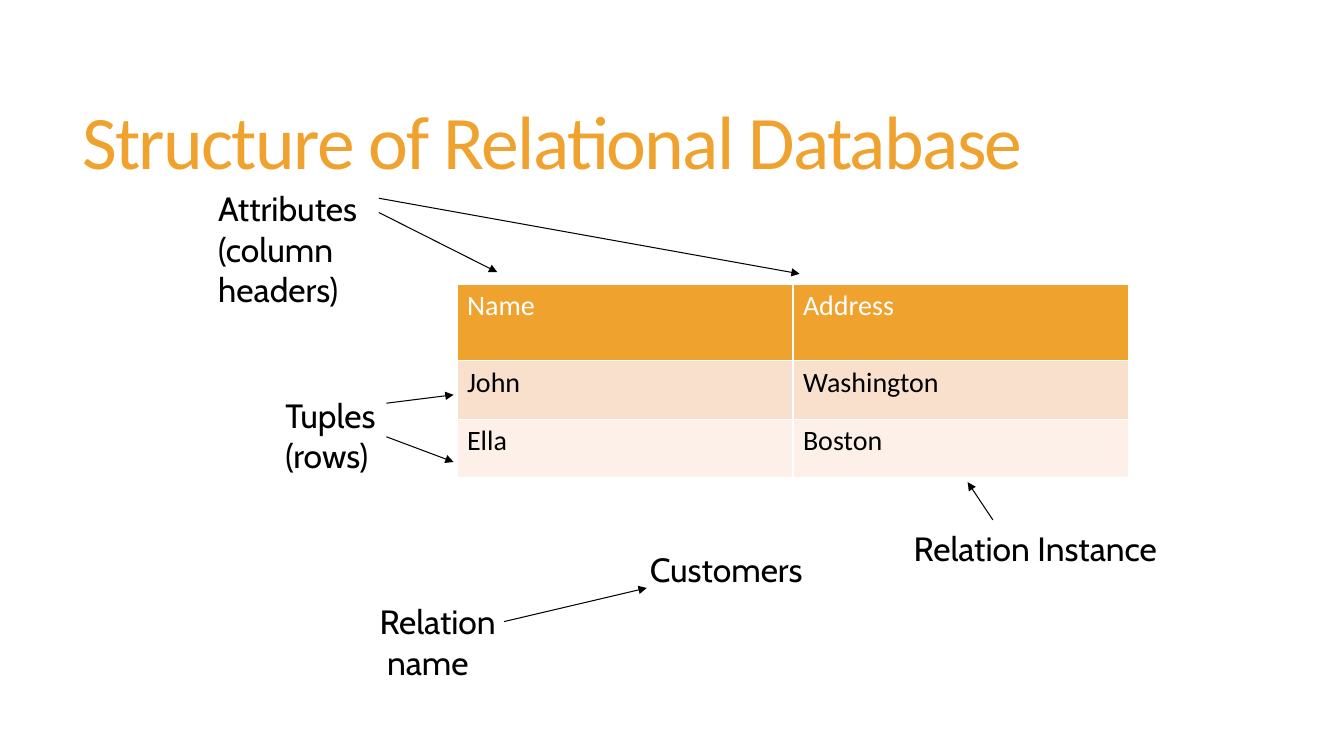
from lxml import etree
from pptx import Presentation
from pptx.dml.color import RGBColor
from pptx.enum.shapes import MSO_CONNECTOR
from pptx.enum.text import MSO_ANCHOR
from pptx.oxml.ns import qn
from pptx.util import Inches, Pt

STRAIGHT = MSO_CONNECTOR.STRAIGHT
MIDDLE = MSO_ANCHOR.MIDDLE

ORANGE = RGBColor(0xF0, 0xA2, 0x2E)
PEACH = RGBColor(0xF9, 0xE0, 0xCD)
CREAM = RGBColor(0xFC, 0xF0, 0xE8)
WHITE = RGBColor(0xFF, 0xFF, 0xFF)
BLACK = RGBColor(0, 0, 0)

COLUMNS, ROWS = 160, 90
CELL = Inches(7.5) / ROWS

# text, (left, top, width, height) in grid cells
LABELS = [
    ("Attributes\n(column\nheaders)", (24.8, 21.8, 19.6, 15.7)),
    ("Tuples\n(rows)", (32.8, 46.4, 13.9, 10.9)),
    ("Relation\n name", (44, 71, 16.7, 10.9)),
    ("Customers", (76.2, 64.7, 29.8, 6)),
    ("Relation Instance", (107.6, 62.3, 33.2, 6.1)),
]
# start, end in grid cells
ARROWS = [
    ((45.1, 25.3), (59.2, 32.4)),
    ((45.1, 23.6), (95.2, 32.6)),
    ((46, 48), (54, 47)),
    ((46, 52), (54, 55)),
    ((60, 74), (77, 70)),
    ((118.2, 61.9), (115.2, 57.4)),
]
CUSTOMERS = [
    ("Name", "Address"),
    ("John", "Washington"),
    ("Ella", "Boston"),
]
ROW_HEIGHTS = (9.1, 7, 7)
ROW_COLORS = ((ORANGE, WHITE), (PEACH, BLACK), (CREAM, BLACK))
COLUMN_WIDTH = 40


def cells(*counts):
    """Turn counts of grid cells into lengths."""
    return [round(n * CELL) for n in counts]


def set_font(p, name, size, color):
    p.font.name = name
    p.font.size = Pt(size)
    p.font.color.rgb = color


def add_text(s, text, box, name, size, color):
    tf = s.shapes.add_textbox(*cells(*box)).text_frame
    tf.word_wrap = True
    tf.text = text
    for p in tf.paragraphs:
        set_font(p, name, size, color)
    return tf


def add_title(s, text):
    tf = add_text(s, text, (8.6, 6.6, 141.4, 21.7), "Calibri", 54, ORANGE)
    tf.vertical_anchor = MIDDLE
    p = tf.paragraphs[0]
    p.line_spacing = 0.85
    p.runs[0].font._element.set("spc", "-120")


def add_arrow(s, start, end):
    arrow = s.shapes.add_connector(STRAIGHT, *cells(*start, *end))
    arrow.line.color.rgb = BLACK
    arrow.line.width = Pt(0.75)
    etree.SubElement(arrow.line._get_or_add_ln(), qn("a:tailEnd"), type="triangle")
    etree.SubElement(arrow._element.spPr, qn("a:effectLst"))


def add_borders(cell):
    tcPr = cell._tc.get_or_add_tcPr()
    for i, side in enumerate(("a:lnL", "a:lnR", "a:lnT", "a:lnB")):
        ln = etree.Element(qn(side), w=str(Pt(1)))
        fill = etree.SubElement(ln, qn("a:solidFill"))
        etree.SubElement(fill, qn("a:srgbClr"), val=str(WHITE))
        tcPr.insert(i, ln)


def add_relation(s, left, top):
    """Add the table of customers."""
    n_rows, n_cols = len(CUSTOMERS), len(CUSTOMERS[0])
    box = cells(left, top, n_cols * COLUMN_WIDTH, sum(ROW_HEIGHTS))
    table = s.shapes.add_table(n_rows, n_cols, *box).table
    for r, record in enumerate(CUSTOMERS):
        table.rows[r].height = cells(ROW_HEIGHTS[r])[0]
        fill, color = ROW_COLORS[r]
        for c, value in enumerate(record):
            cell = table.cell(r, c)
            cell.text = value
            p = cell.text_frame.paragraphs[0]
            set_font(p, "Calibri", 20, color)
            p.font.bold = False
            cell.fill.solid()
            cell.fill.fore_color.rgb = fill
            add_borders(cell)


def main():
    prs = Presentation()
    prs.slide_width, prs.slide_height = cells(COLUMNS, ROWS)
    s = prs.slides.add_slide(prs.slide_layouts[6])
    add_title(s, "Structure of Relational Database")
    add_relation(s, 54.4, 33.8)
    for text, box in LABELS:
        add_text(s, text, box, "Cabin", 24, BLACK)
    for start, end in ARROWS:
        add_arrow(s, start, end)
    prs.save("out.pptx")


if __name__ == "__main__":
    main()
